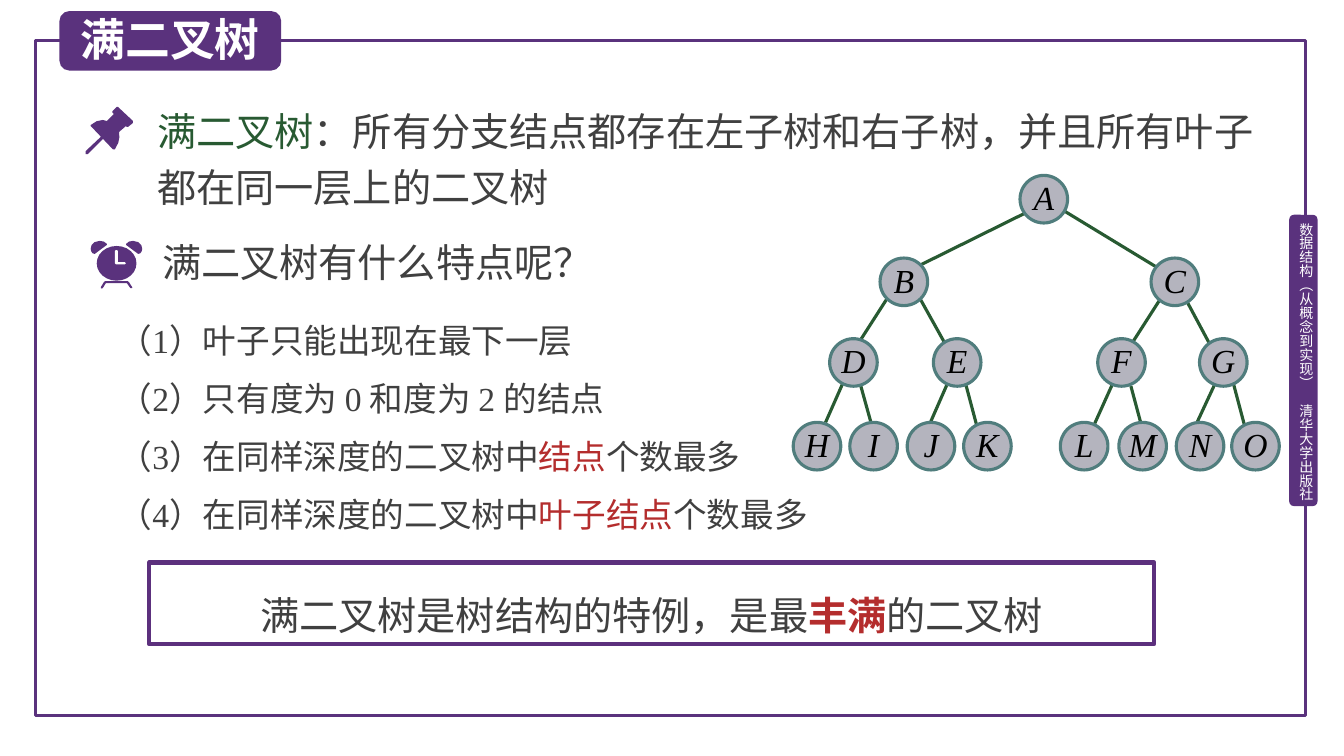
from dataclasses import dataclass

from lxml.etree import SubElement
from pptx import Presentation
from pptx.dml.color import RGBColor
from pptx.enum.shapes import MSO_CONNECTOR, MSO_SHAPE
from pptx.enum.text import MSO_ANCHOR, PP_ALIGN
from pptx.oxml.ns import qn
from pptx.util import Pt


@dataclass(frozen=True)
class Theme:
    purple: RGBColor = RGBColor(0x5A, 0x32, 0x7D)
    frame_purple: RGBColor = RGBColor(0x5C, 0x30, 0x7D)
    green: RGBColor = RGBColor(0x28, 0x5A, 0x32)
    red: RGBColor = RGBColor(0xB4, 0x2D, 0x2D)
    gray: RGBColor = RGBColor(0x40, 0x40, 0x40)
    node_fill: RGBColor = RGBColor(0xB4, 0xB4, 0xBE)
    node_line: RGBColor = RGBColor(0x50, 0x7D, 0x7D)
    black: RGBColor = RGBColor(0, 0, 0)
    white: RGBColor = RGBColor(255, 255, 255)
    sans: str = "Noto Sans CJK SC"
    serif: str = "Times New Roman"
    title: int = 32
    body: int = 28
    item: int = 24
    side: int = 10


theme = Theme()
presentation = Presentation()
presentation.slide_width, presentation.slide_height = Pt(960), Pt(540)
slide = presentation.slides.add_slide(presentation.slide_layouts[6])


def style(shape, fill=None, line=None, width=2.25):
    shape.shadow.inherit = False
    if fill is None:
        shape.fill.background()
    else:
        shape.fill.solid()
        shape.fill.fore_color.rgb = fill
    if line is None:
        shape.line.fill.background()
    else:
        shape.line.color.rgb = line
        shape.line.width = Pt(width)
    return shape


def write(shape, runs, size, color, font=theme.sans, spacing=None, margins=None):
    frame = shape.text_frame
    frame.word_wrap = True
    if margins is not None:
        frame.margin_left = frame.margin_right = Pt(margins[0])
        frame.margin_top = frame.margin_bottom = Pt(margins[1])
    paragraph = frame.paragraphs[0]
    if spacing is not None:
        paragraph.line_spacing = spacing
    paragraph.font.size = Pt(size)
    paragraph.font.name = font
    paragraph.font.color.rgb = color
    properties = paragraph._p.pPr.find(qn("a:defRPr"))
    SubElement(properties, qn("a:ea")).set("typeface", theme.sans)
    for text, run_color, run_font in runs:
        run = paragraph.add_run()
        run.text = text
        if run_color is not None:
            run.font.color.rgb = run_color
        if run_font is not None:
            run.font.name = run_font
    return paragraph


shapes = slide.shapes
style(shapes.add_shape(MSO_SHAPE.RECTANGLE, Pt(25.2), Pt(28.8), Pt(907.2), Pt(482.4)), line=theme.purple)
for left, top, width, height in [(920.9, 153.4, 20.2, 208.1), (42.5, 7.9, 158.4, 42.5)]:
    style(shapes.add_shape(MSO_SHAPE.ROUNDED_RECTANGLE, Pt(left), Pt(top), Pt(width), Pt(height)), theme.purple)

side_box = shapes.add_textbox(Pt(926.6), Pt(159.1), Pt(12.2), Pt(202.3))
write(side_box, [("数据结构（从概念到实现）　清华大学出版社", None, None)],
      theme.side, theme.white, margins=(0, 0))
side_box.text_frame._txBody.bodyPr.set("vert", "eaVert")

title_box = shapes.add_textbox(Pt(50.4), Pt(5), Pt(180), Pt(46))
write(title_box, [("满二叉树", None, None)], theme.title, theme.white).font.bold = True

definition_box = shapes.add_textbox(Pt(112.3), Pt(67), Pt(799.9), Pt(87.8))
write(definition_box, [
    ("满二叉树", theme.green, None),
    ("：所有分支结点都存在左子树和右子树，并且所有叶子都在同一层上的二叉树", None, None),
], theme.body, theme.gray, theme.serif, Pt(40), (0, 3.6))

question_box = shapes.add_textbox(Pt(108.7), Pt(167), Pt(377.3), Pt(41))
write(question_box, [("满二叉树有什么特点呢？", None, None)], theme.body, theme.gray)

pin_head = [(95, 86.4), (84.2, 76.3), (83.5, 76.3), (80.2, 79.6), (80.2, 80.4), (81.4, 81.4),
            (76.3, 86.4), (73.4, 85.7), (69, 86.6), (64.8, 89.3), (64.8, 90), (80.6, 106.6),
            (82.1, 106.6), (84.5, 102), (85.3, 98), (85, 94.3), (90, 90), (90.7, 90.7),
            (91.4, 90.7), (95, 87.8)]
pin_needle = [(62.6, 110.2), (61.2, 110.2), (61.2, 108), (72.7, 97.2), (73.6, 96.7),
              (74.4, 97.4), (74.2, 98.6)]
clock_feet = [(94.5, 205.2), (92.2, 201.6), (91.4, 200.9), (74.9, 200.9), (74.2, 201.6),
              (72, 205.2), (72.2, 206.1), (73.4, 205.9), (75.6, 202.3), (90.7, 202.3),
              (93.2, 205.9), (94.3, 205.9)]
left_bell = [(71.3, 172.1), (67.6, 173), (65.4, 175.2), (64.8, 177.8), (65.2, 179.6),
             (66.2, 181), (67.7, 181.4), (76.3, 175), (76.3, 174.2), (74.2, 172.6)]
right_bell = [(166.4 - x, y) for x, y in left_bell]
clock_hands = [(82.1, 179.2), (82.8, 178.6), (83.6, 178.6), (84.2, 179.2), (84.2, 187.2),
               (89, 187.2), (89.9, 188), (89, 188.9), (83, 188.9), (82.1, 188)]

style(shapes.add_shape(MSO_SHAPE.OVAL, Pt(69.1), Pt(175.7), Pt(28.4), Pt(24.8)), theme.purple)
for outline, color in [(pin_head, theme.purple), (pin_needle, theme.purple),
                       (clock_feet, theme.purple), (left_bell, theme.purple),
                       (right_bell, theme.purple), (clock_hands, theme.white)]:
    points = [(Pt(x), Pt(y)) for x, y in outline]
    builder = shapes.build_freeform(*points[0])
    builder.add_line_segments(points[1:], close=True)
    style(builder.convert_to_shape(), color)

features = [
    [("（1）", None, None), ("叶子只能出现在最下一层", None, theme.sans)],
    [("（2）只有度为 0 和度为 2 的结点", None, None)],
    [("（3）", None, None), ("在同样深度的二叉树中", None, theme.sans),
     ("结点", theme.red, theme.sans), ("个数最多", None, theme.sans)],
    [("（4）", None, None), ("在同样深度的二叉树中", None, theme.sans),
     ("叶子结点", theme.red, theme.sans), ("个数最多", None, theme.sans)],
]
for index, runs in enumerate(features):
    feature_box = shapes.add_textbox(Pt(77.8), Pt(213.8 + 41.5 * index), Pt(545.8), Pt(47.5))
    write(feature_box, runs, theme.item, theme.gray, theme.serif, Pt(40))

summary = style(shapes.add_shape(MSO_SHAPE.RECTANGLE, Pt(106.6), Pt(401.8), Pt(717.8), Pt(58.3)),
                line=theme.frame_purple, width=3)
summary.text_frame.vertical_anchor = MSO_ANCHOR.MIDDLE
paragraph = write(summary, [
    ("满二叉树是树结构的特例，是最", None, None),
    ("丰满", theme.red, None),
    ("的二叉树", None, None),
], theme.body, theme.gray, spacing=1.5)
paragraph.alignment = PP_ALIGN.CENTER
paragraph.runs[1].font.bold = True

edges = [
    (731.5, 152.6, 653, 191.5), (757.4, 149, 830.9, 193.7),
    (636.5, 208.8, 612, 247), (655.9, 211, 677.5, 249.8),
    (828.7, 213.8, 804.2, 252), (848.2, 216, 869, 254.9),
    (603.4, 270.7, 589.7, 301.7), (614.9, 275.8, 623.5, 306.7),
    (678.2, 270.7, 664.6, 301.7), (689.8, 274.3, 698.4, 306.7),
    (796.3, 270.7, 782, 302.4), (807.8, 275.8, 816.5, 308.2),
    (869.8, 270, 855.4, 301), (881.3, 275, 889.9, 307.4),
]
for edge in edges:
    connector = shapes.add_connector(MSO_CONNECTOR.STRAIGHT, *map(Pt, edge))
    connector.line.color.rgb = theme.green
    connector.line.width = Pt(2.25)
    SubElement(connector._element.spPr, qn("a:effectLst"))

levels = [
    (125.3, "A", [728.6]),
    (184.3, "BC", [628.6, 822.2]),
    (241.9, "DEFG", [592.6, 666.7, 784.1, 856.8]),
    (301.7, "HIJKLMNO", [566.6, 607, 648, 688.3, 757.4, 799.2, 840.2, 879.8]),
]
for top, names, lefts in levels:
    for name, left in zip(names, lefts):
        node = style(shapes.add_shape(MSO_SHAPE.OVAL, Pt(left), Pt(top), Pt(34), Pt(34)),
                     theme.node_fill, theme.node_line)
        node.text_frame.vertical_anchor = MSO_ANCHOR.TOP
        paragraph = write(node, [(name, None, None)], theme.item, theme.black,
                          theme.serif, Pt(25), (0, 0))
        paragraph.alignment = PP_ALIGN.CENTER
        paragraph.font.italic = True

presentation.save("out.pptx")
